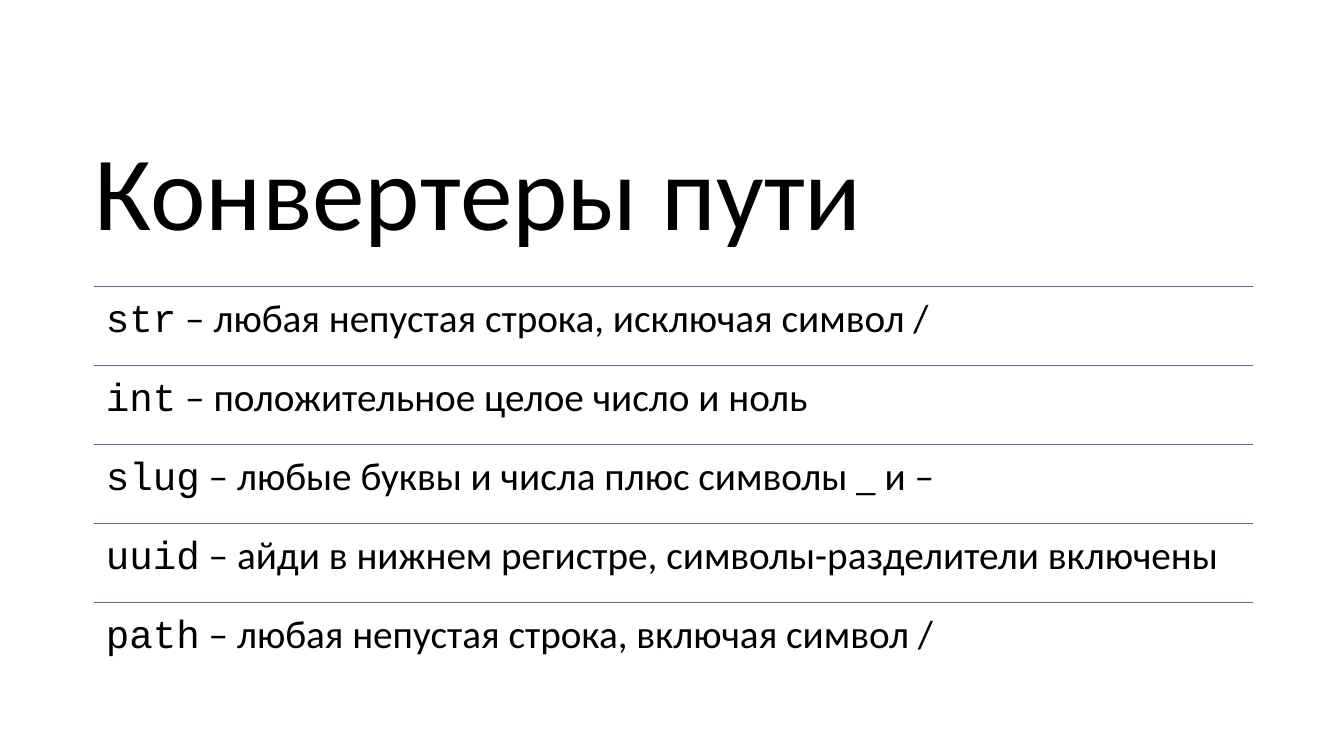
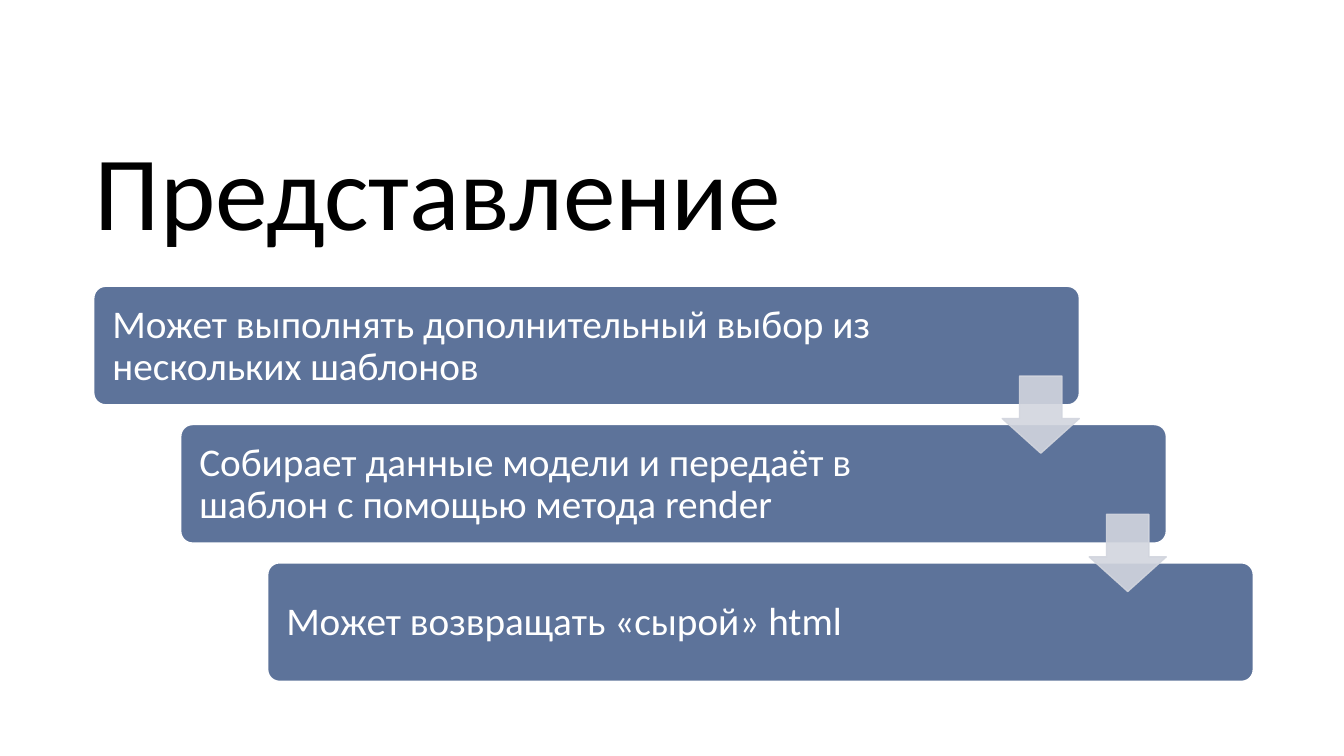
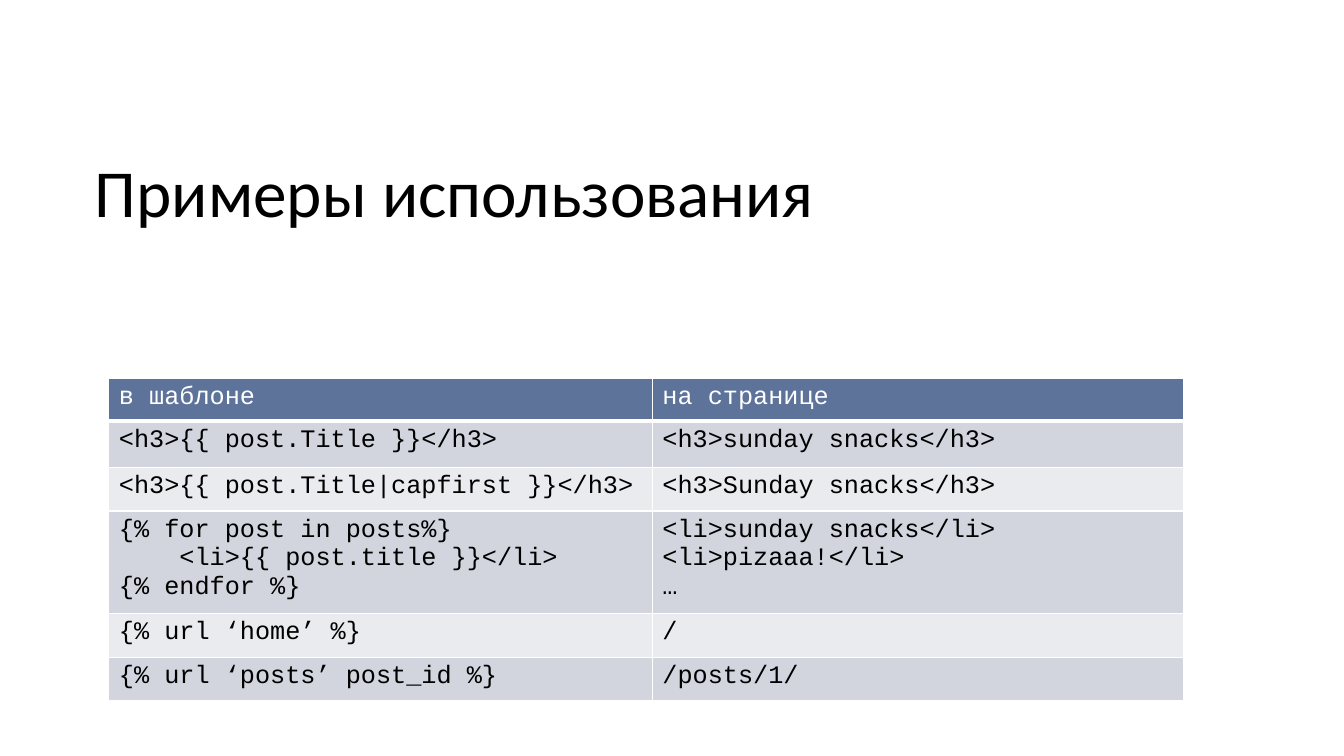
from dataclasses import dataclass
from typing import NamedTuple

from lxml import etree
from pptx import Presentation
from pptx.dml.color import RGBColor
from pptx.enum.shapes import MSO_CONNECTOR, MSO_SHAPE
from pptx.enum.text import MSO_ANCHOR, PP_ALIGN
from pptx.oxml.ns import qn
from pptx.util import Inches, Pt

STRAIGHT = MSO_CONNECTOR.STRAIGHT
ROUNDED, DOWN_ARROW = MSO_SHAPE.ROUNDED_RECTANGLE, MSO_SHAPE.DOWN_ARROW
TOP, MIDDLE = MSO_ANCHOR.TOP, MSO_ANCHOR.MIDDLE
LEFT = PP_ALIGN.LEFT


@dataclass(frozen=True)
class Theme:
    """Colours, fonts and type sizes of the deck."""
    ink: RGBColor = RGBColor(0, 0, 0)
    white: RGBColor = RGBColor(255, 255, 255)
    accent: RGBColor = RGBColor.from_string("5D739A")
    rule: RGBColor = RGBColor.from_string("54688C")
    band: RGBColor = RGBColor.from_string("D2D5DE")
    pale_band: RGBColor = RGBColor.from_string("EAEBEF")
    sans: str = "Calibri"
    mono: str = "Courier New"
    title: float = 75.2
    small_title: float = 48
    body: float = 28
    code: float = 18


THEME = Theme()


class Box(NamedTuple):
    """A region in inches."""
    left: float
    top: float
    width: float
    height: float

    def lengths(self):
        """Return the four values as slide lengths."""
        return [Inches(value) for value in self]


TITLE = Box(0.94, 1.22, 11.5, 1.45)
CONTENT = Box(0.93, 2.84, 11.5, 3.92)
EXAMPLES = Box(1.08, 3.75, 10.66, 3.2)


def write(frame, text, *, size, font=THEME.sans, color=THEME.ink, anchor=TOP,
          insets=(0, 0, 0, 0), spacing=None):
    """Fill a text holder; each line is a string or a list of (text, font) runs.

    Leading spaces of a line become a paragraph indent of monospaced width.
    """
    frame.word_wrap = True
    frame.vertical_anchor = anchor
    (frame.margin_left, frame.margin_top,
     frame.margin_right, frame.margin_bottom) = [Inches(i) for i in insets]
    lines = text.split("\n") if isinstance(text, str) else [text]
    for index, line in enumerate(lines):
        paragraph = frame.paragraphs[0] if index == 0 else frame.add_paragraph()
        paragraph.alignment = LEFT
        paragraph.line_spacing = spacing
        if isinstance(line, str):
            bare = line.lstrip(" ")
            indent = len(line) - len(bare)
            if indent:
                paragraph._p.get_or_add_pPr().set("marL", str(Pt(indent * size * 0.6)))
            line = [(bare, font)]
        for content, face in line:
            run = paragraph.add_run()
            run.text = content
            run.font.name, run.font.size = face, Pt(size)
            run.font.color.rgb = color


def add_text(slide, box, text, **style):
    """Place a text box."""
    write(slide.shapes.add_textbox(*box.lengths()).text_frame, text, **style)


def add_figure(slide, preset, box, *, fill, line, adjustments):
    """Place a preset shape without shadow."""
    figure = slide.shapes.add_shape(preset, *box.lengths())
    figure.shadow.inherit = False
    figure.fill.solid()
    figure.fill.fore_color.rgb = fill
    figure.line.color.rgb = line
    figure.line.width = Pt(1)
    for index, value in enumerate(adjustments):
        figure.adjustments[index] = value
    return figure


def add_titled_slide(deck, title, size=THEME.title):
    """Add a blank slide with the shared title."""
    slide = deck.slides.add_slide(deck.slide_layouts[6])
    add_text(slide, TITLE, title, size=size, anchor=MIDDLE, spacing=0.9)
    return slide


def add_ruled_list(slide, box, entries):
    """Stack terms with descriptions in equal rows, each under a rule."""
    pitch = box.height / len(entries)
    for index, (term, description) in enumerate(entries):
        row = Box(box.left, box.top + index * pitch, box.width, pitch)
        left, top, width, _ = row.lengths()
        rule = slide.shapes.add_connector(STRAIGHT, left, top, left + width, top)
        rule.line.color.rgb = THEME.rule
        rule.line.width = Pt(1)
        etree.SubElement(rule._element.spPr, qn("a:effectLst"))
        add_text(slide, row, [(term, THEME.mono), (f" – {description}", THEME.sans)],
                 size=THEME.body, insets=(0.12,) * 4, spacing=0.9)


def add_staircase(slide, box, steps):
    """Place three descending cards joined by translucent arrows."""
    width, height = 0.85 * box.width, 0.3 * box.height
    shift = (box.width - width) / (len(steps) - 1)
    drop = (box.height - height) / (len(steps) - 1)
    cards = [Box(box.left + i * shift, box.top + i * drop, width, height)
             for i in range(len(steps))]
    for card, step in zip(cards, steps):
        figure = add_figure(slide, ROUNDED, card, fill=THEME.accent,
                            line=THEME.white, adjustments=[0.1])
        write(figure.text_frame, step, size=THEME.body, color=THEME.white,
              anchor=MIDDLE, insets=(0.15, 0.12, 1.75, 0.1), spacing=0.9)
    side = 0.65 * height
    for card in cards[:-1]:
        gap_middle = card.top + (height + drop) / 2
        arrow = add_figure(
            slide, DOWN_ARROW,
            Box(card.left + width - side, gap_middle - side / 2, side, side),
            fill=THEME.band, line=THEME.band, adjustments=[0.55, 0.45])
        for color in arrow._element.spPr.iter(qn("a:srgbClr")):
            etree.SubElement(color, qn("a:alpha"), val="90000")


def add_borders(cell, bottom):
    """Give a cell white borders, 1 pt except for the bottom one."""
    properties = cell._tc.get_or_add_tcPr()
    for edge, points in (("L", 1), ("R", 1), ("T", 1), ("B", bottom)):
        line = etree.SubElement(properties, qn(f"a:ln{edge}"), w=str(Pt(points)))
        fill = etree.SubElement(line, qn("a:solidFill"))
        etree.SubElement(fill, qn("a:srgbClr"), val=str(THEME.white))


def add_code_table(slide, box, rows, widths, heights):
    """Place a banded table of code with a header row."""
    table = slide.shapes.add_table(len(rows), len(widths), *box.lengths()).table
    for column, width in zip(table.columns, widths):
        column.width = Inches(width)
    for index, (row, height) in enumerate(zip(rows, heights)):
        table.rows[index].height = Inches(height)
        header = index == 0
        band = THEME.band if index % 2 else THEME.pale_band
        for cell, text in zip(table.rows[index].cells, row):
            add_borders(cell, bottom=3 if header else 1)
            cell.fill.solid()
            cell.fill.fore_color.rgb = THEME.accent if header else band
            write_cell(cell, text, THEME.white if header else THEME.ink)


def write_cell(cell, text, color):
    """Write code into a table cell."""
    write(cell.text_frame, text, size=THEME.code, font=THEME.mono, color=color)
    cell.vertical_anchor = TOP
    cell.margin_left = cell.margin_right = Inches(0.1)
    cell.margin_top = cell.margin_bottom = Inches(0.05)


def main():
    """Build and save the deck."""
    deck = Presentation()
    deck.slide_width, deck.slide_height = Inches(13.33), Inches(7.5)

    converters = add_titled_slide(deck, "Конвертеры пути")
    add_ruled_list(converters, CONTENT, [
        ("str", "любая непустая строка, исключая символ /"),
        ("int", "положительное целое число и ноль"),
        ("slug", "любые буквы и числа плюс символы _ и –"),
        ("uuid", "айди в нижнем регистре, символы-разделители включены"),
        ("path", "любая непустая строка, включая символ /"),
    ])

    view = add_titled_slide(deck, "Представление")
    add_staircase(view, CONTENT, [
        "Может выполнять дополнительный выбор из нескольких шаблонов",
        "Собирает данные модели и передаёт в шаблон с помощью метода render",
        "Может возвращать «сырой» html",
    ])

    usage = add_titled_slide(deck, "Примеры использования", THEME.small_title)
    add_code_table(usage, EXAMPLES, [
        ("в шаблоне", "на странице"),
        ("<h3>{{ post.Title }}</h3>", "<h3>sunday snacks</h3>"),
        ("<h3>{{ post.Title|capfirst }}</h3>", "<h3>Sunday snacks</h3>"),
        ("{% for post in posts%}\n    <li>{{ post.title }}</li>\n{% endfor %}",
         "<li>sunday snacks</li>\n<li>pizaaa!</li>\n…"),
        ("{% url ‘home’ %}", "/"),
        ("{% url ‘posts’ post_id %}", "/posts/1/"),
    ], widths=[5.39, 5.27], heights=[0.43, 0.46, 0.43, 1.02, 0.43, 0.43])

    deck.save("out.pptx")


main()
